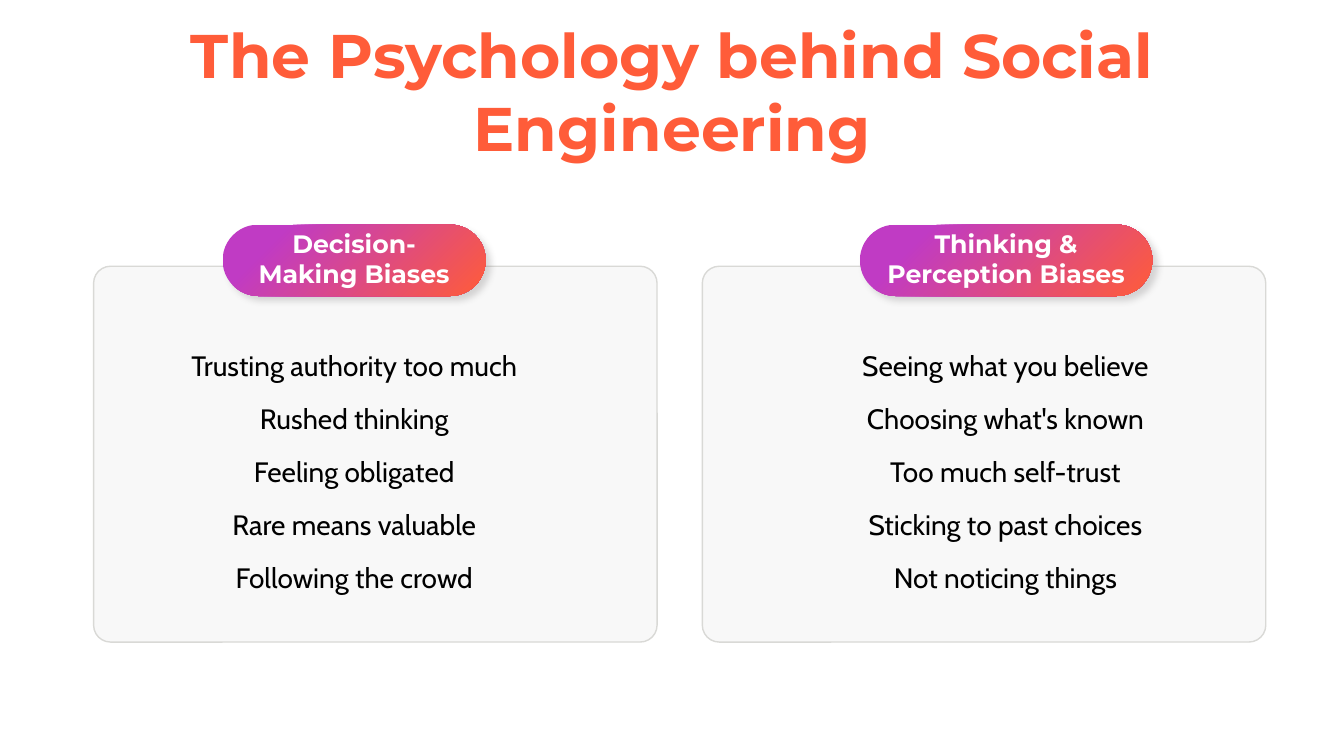
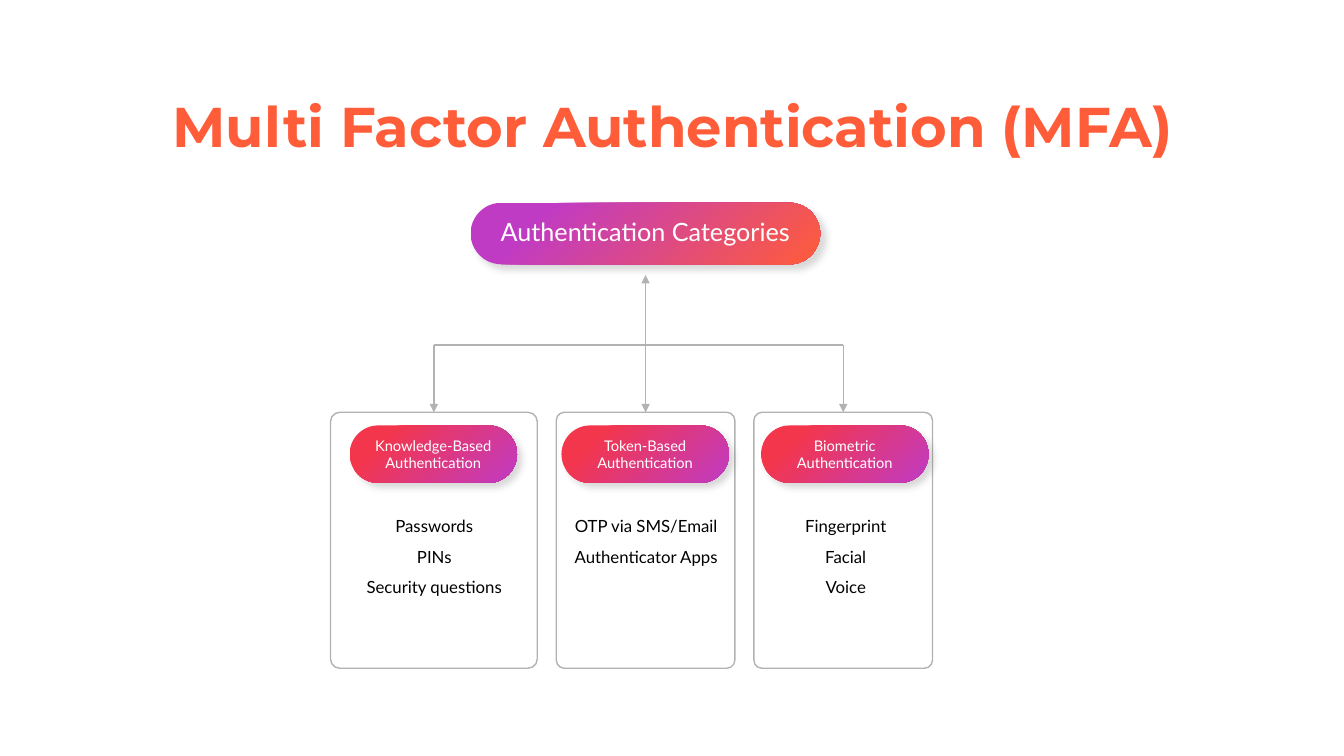
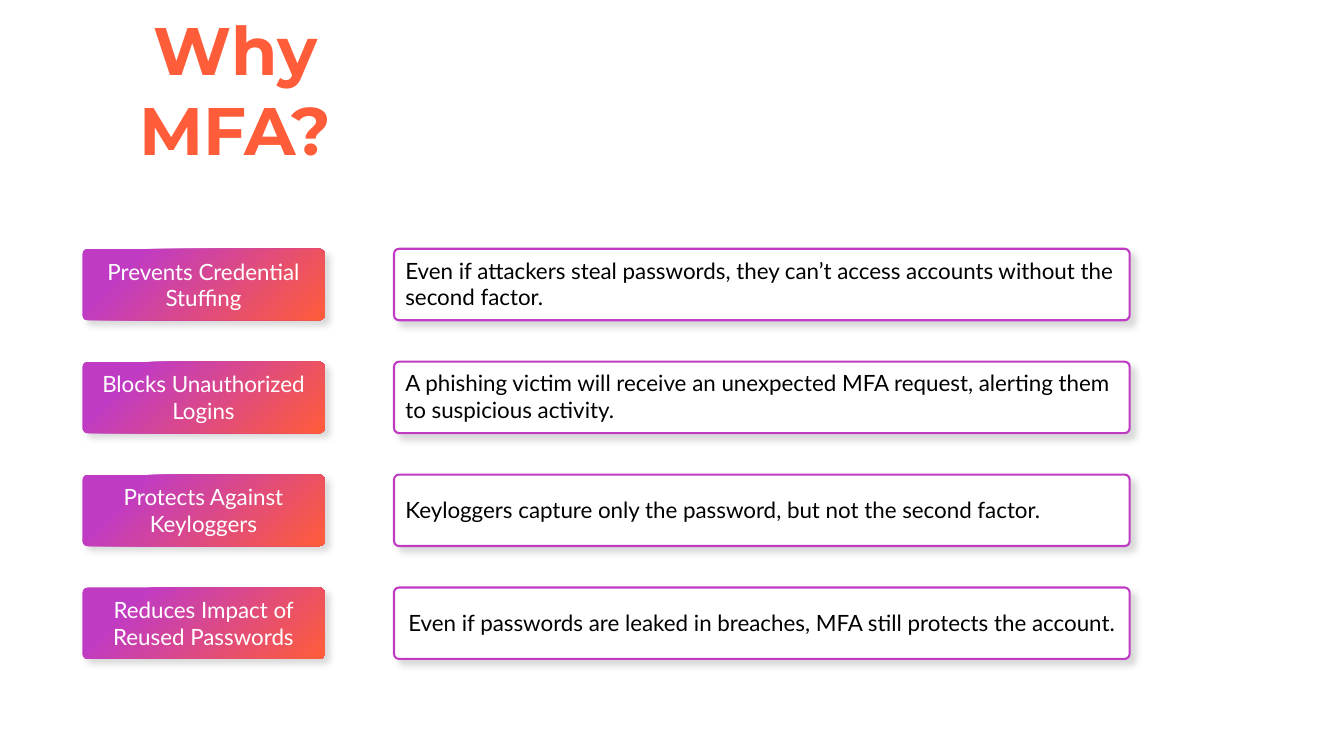
import pptx
import pptx.util
import pptx.dml.color
import pptx.enum.shapes
import pptx.enum.text
import pptx.oxml
import pptx.oxml.ns

Cm = pptx.util.Cm
Pt = pptx.util.Pt
ALIGN = pptx.enum.text.PP_ALIGN
ANCHOR = pptx.enum.text.MSO_ANCHOR
ROUND = pptx.enum.shapes.MSO_SHAPE.ROUNDED_RECTANGLE
LINE = pptx.enum.shapes.MSO_CONNECTOR.STRAIGHT
NS = pptx.oxml.ns.nsdecls("a")

ORANGE, PURPLE, RED = "FF5C39", "C03BC4", "F4364C"
BLACK, WHITE, GRAY = "000000", "FFFFFF", "B1B3B3"
WARM = (ORANGE, PURPLE)
COOL = (PURPLE, RED)
SHADE = (
    f'<a:outerShdw {NS} blurRad="63500" dist="63500" dir="2700000" algn="tl" rotWithShape="0">'
    '<a:srgbClr val="454142"><a:alpha val="20000"/></a:srgbClr></a:outerShdw>'
)
RADIAL = f'<a:path {NS} path="circle"><a:fillToRect l="100000" t="100000"/></a:path>'
ARROW = f'<a:headEnd {NS} type="triangle"/>'
PLAIN = f"<a:effectLst {NS}/>"


def hue(code):
    return pptx.dml.color.RGBColor.from_string(code)


def put(page, box, text="", kind="shape", curve=0.5, fill=None, line=None, width=1,
        shade=False, size=16, font="Lato", color=BLACK, bold=False, align=ALIGN.CENTER,
        anchor=ANCHOR.MIDDLE, inset=(0.25, 0.13, 0.25, 0.13), after=0, space=1):
    place = [Cm(x) for x in box]
    if kind == "title":
        shape = page.shapes.title
        shape.left, shape.top, shape.width, shape.height = place
    elif kind == "text":
        shape = page.shapes.add_textbox(*place)
    else:
        shape = page.shapes.add_shape(ROUND, *place)
        shape.adjustments[0] = curve
        shape.shadow.inherit = False
        if isinstance(fill, tuple):
            shape.fill.gradient()
            for stop, tone, spot in zip(shape.fill.gradient_stops, fill, (0, 0.8)):
                stop.color.rgb = hue(tone)
                stop.position = spot
            lin = shape.element.spPr.find(".//" + pptx.oxml.ns.qn("a:lin"))
            lin.getparent().replace(lin, pptx.oxml.parse_xml(RADIAL))
        elif fill:
            shape.fill.solid()
            shape.fill.fore_color.rgb = hue(fill)
        else:
            shape.fill.background()
        if line:
            shape.line.color.rgb = hue(line)
            shape.line.width = Pt(width)
        else:
            shape.line.fill.background()
        if shade:
            glow = shape.element.spPr.find(pptx.oxml.ns.qn("a:effectLst"))
            glow.append(pptx.oxml.parse_xml(SHADE))
    if text:
        frame = shape.text_frame
        frame.word_wrap = True
        frame.auto_size = pptx.enum.text.MSO_AUTO_SIZE.NONE
        frame.vertical_anchor = anchor
        frame.margin_left, frame.margin_top, frame.margin_right, frame.margin_bottom = map(Cm, inset)
        frame.text = text
        for para in frame.paragraphs:
            para.alignment = align
            para.space_after = Pt(after)
            para.line_spacing = space
            para.font.size = Pt(size)
            para.font.name = font
            para.font.bold = bold
            para.font.color.rgb = hue(color)
    return shape


deck = pptx.Presentation()
deck.slide_width, deck.slide_height = Cm(33.87), Cm(19.05)

pages = []
heads = [
    ("The Psychology behind Social Engineering", (3.05, 1.8, 27.79, 2.67), 44),
    ("Multi Factor Authentication (MFA)", (1.35, 1.42, 31.19, 2.9), 40),
    ("Why MFA?", (1.7, 1.7, 8.46, 2.9), 48),
]
for text, box, size in heads:
    page = deck.slides.add_slide(deck.slide_layouts[5])
    put(page, box, text, kind="title", size=size, font="Montserrat", color=ORANGE,
        bold=True, anchor=ANCHOR.BOTTOM, inset=(0.33,) * 4)
    pages.append(page)
bias, tree, why = pages

cards = [
    (2.36, 2.67, 5.61, 6.63, "Decision-Making Biases",
     ["Trusting authority too much", "Rushed thinking", "Feeling obligated",
      "Rare means valuable", "Following the crowd"]),
    (17.7, 19.08, 21.67, 7.37, "Thinking & Perception Biases",
     ["Seeing what you believe", "Choosing what's known", "Too much self-trust",
      "Sticking to past choices", "Not noticing things"]),
]
for left, list_x, pill_x, pill_w, name, items in cards:
    put(bias, (left, 6.71, 14.2, 9.47), curve=0.045, fill="F8F8F8", line="D9D9D6")
    put(bias, (list_x, 8.64, 12.52, 6.53), "\n".join(items), kind="text",
        size=20, font="Cabin", anchor=ANCHOR.TOP, after=14)
    put(bias, (pill_x, 5.66, pill_w, 1.8), name, fill=WARM, shade=True, size=18,
        font="Montserrat", color=WHITE, bold=True, inset=(0.38, 0.05, 0.38, 0.15))

put(tree, (11.86, 5.11, 8.81, 1.55), "Authentication Categories", fill=WARM, shade=True,
    size=18, color=WHITE, inset=(0.38, 0, 0.38, 0.08))
kinds = [
    (8.33, 5.21, 8.81, "Knowledge-Based Authentication",
     ["Passwords", "PINs", "Security questions"]),
    (14.02, 4.5, 14.15, "Token-Based Authentication",
     ["OTP via SMS/Email", "Authenticator Apps"]),
    (19, 4.5, 19.18, "Biometric Authentication", ["Fingerprint", "Facial", "Voice"]),
]
bar_y, card_y = 8.69, 10.39
mids = [left + width / 2 for left, width, *rest in kinds]
links = [(mids[0], bar_y, mids[2], bar_y, None), (mids[1], 6.93, mids[1], bar_y, None)]
for mid, (left, width, pill_x, name, items) in zip(mids, kinds):
    card = put(tree, (left, card_y, width, 6.45), curve=0.045, line=GRAY)
    put(tree, (pill_x, 10.72, 4.22, 1.45), name, fill=COOL, shade=True, size=10.5, color=WHITE)
    put(tree, (pill_x, 12.62, 4.27, 2.46), "\n".join(items), kind="text", size=12,
        anchor=ANCHOR.TOP, space=1.5)
    links.append((mid, card_y, mid, bar_y, card))
for x1, y1, x2, y2, card in links:
    link = tree.shapes.add_connector(LINE, Cm(x1), Cm(y1), Cm(x2), Cm(y2))
    link.line.color.rgb = hue(GRAY)
    link.line.width = Pt(1)
    if y1 != y2:
        link.line._get_or_add_ln().append(pptx.oxml.parse_xml(ARROW))
    link.element.spPr.append(pptx.oxml.parse_xml(PLAIN))
    if card:
        link.begin_connect(card, 0)

rows = [
    ("Prevents Credential Stuffing", ALIGN.LEFT,
     "Even if attackers steal passwords, they can’t access accounts without the second factor."),
    ("Blocks Unauthorized Logins", ALIGN.LEFT,
     "A phishing victim will receive an unexpected MFA request, alerting them to suspicious activity."),
    ("Protects Against Keyloggers", ALIGN.LEFT,
     "Keyloggers capture only the password, but not the second factor."),
    ("Reduces Impact of Reused Passwords", ALIGN.CENTER,
     "Even if passwords are leaked in breaches, MFA still protects the account."),
]
for i, (name, align, text) in enumerate(rows):
    top = 6.27 + 2.845 * i
    put(why, (2.08, top, 6.1, 1.8), name, curve=0.07, fill=WARM, shade=True, color=WHITE)
    put(why, (9.93, top, 18.54, 1.8), text, curve=0.07, fill=WHITE, line=PURPLE, width=1.5,
        shade=True, align=align, inset=(0.25, 0.05, 0.25, 0.1))

deck.save("out.pptx")
